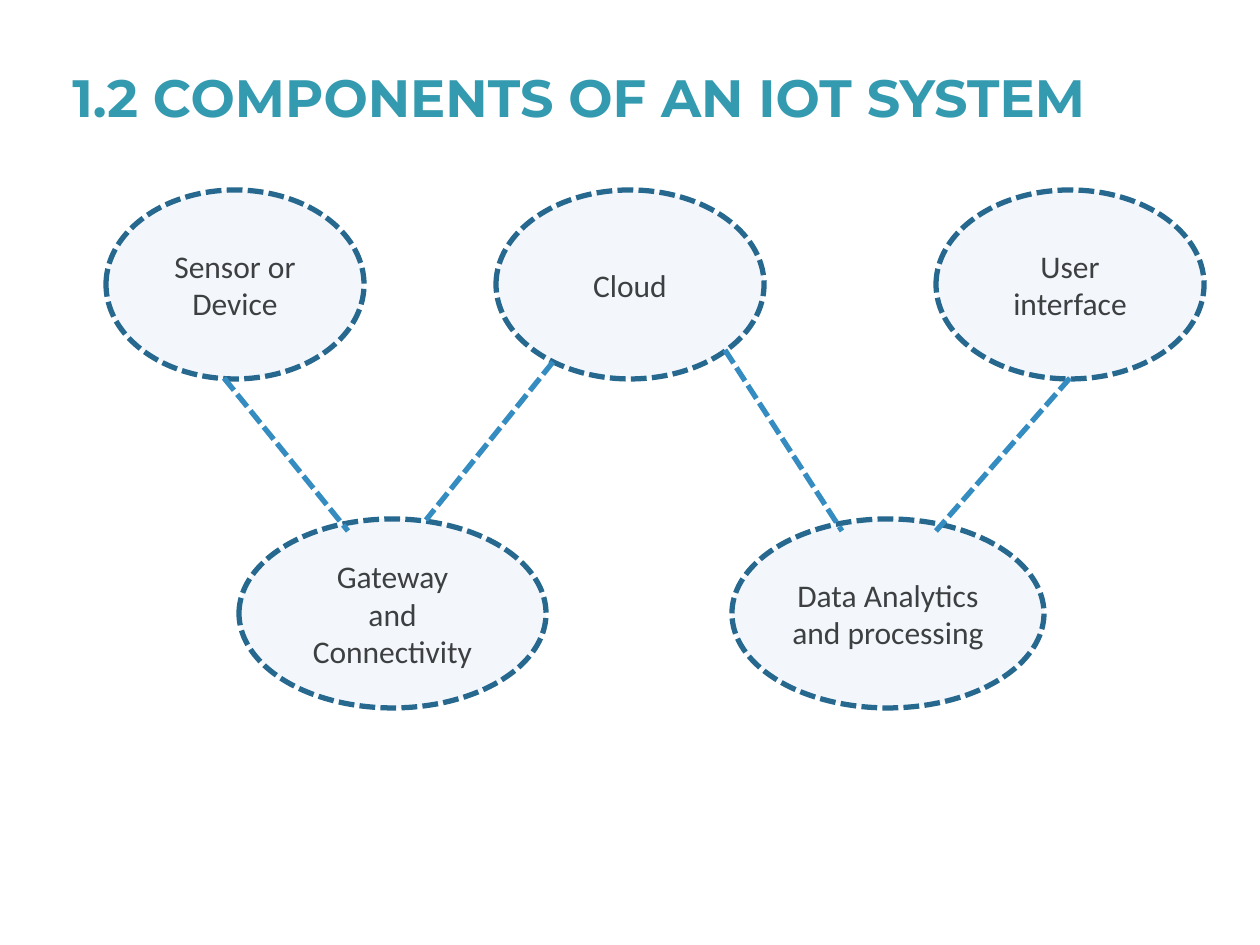
"""Build the slide showing the components of an IoT system."""
from lxml import etree
from pptx import Presentation
from pptx import util as u
from pptx.dml.color import RGBColor
from pptx.enum import dml, shapes, text
from pptx.oxml.ns import qn

SCALE = 914400 / 126
TITLE = "1.2 COMPONENTS OF AN IOT SYSTEM"
TITLE_BOX = (60, 38, 1140, 97)
TITLE_FONT = {"name": "Montserrat", "size": u.Pt(30), "bold": True}
NODE_FONT = {"name": "Calibri", "size": u.Pt(18)}
FRAME = {"word_wrap": True, "vertical_anchor": text.MSO_ANCHOR.MIDDLE}
NODE_HEIGHT = 189
ROWS = [
    (190, [
        (106, 258, ["Sensor or Device"]),
        (496, 268, ["Cloud"]),
        (936, 268, ["User interface"]),
    ]),
    (519, [
        (239, 307, ["Gateway", "and", "Connectivity"]),
        (732, 312, ["Data Analytics and processing"]),
    ]),
]
LINKS = [
    (224, 378, 348, 531),
    (1070, 378, 936, 531),
    (553, 362, 426, 520),
    (725, 350, 842, 531),
]


def px(*values):
    return [u.Emu(round(v * SCALE)) for v in values]


def rgb(value):
    return RGBColor.from_string(value)


def apply(obj, values):
    for name, value in values.items():
        setattr(obj, name, value)


def dash(line, color):
    line.color.rgb = rgb(color)
    apply(line, {"width": u.Pt(3), "dash_style": dml.MSO_LINE.SQUARE_DOT})


def write(p, words, font, color):
    r = p.add_run()
    r.text = words
    apply(r.font, font)
    r.font.color.rgb = rgb(color)


def add_node(s, x, y, w, lines):
    sp = s.shapes.add_shape(shapes.MSO_SHAPE.OVAL, *px(x, y, w, NODE_HEIGHT))
    sp.shadow.inherit = False
    sp.fill.solid()
    sp.fill.fore_color.rgb = rgb("F3F7FC")
    dash(sp.line, "27688F")
    tf = sp.text_frame
    apply(tf, FRAME)
    for i, words in enumerate(lines):
        p = tf.add_paragraph() if i else tf.paragraphs[0]
        p.alignment = text.PP_ALIGN.CENTER
        write(p, words, NODE_FONT, "3D3F41")


def add_link(s, ends):
    link = s.shapes.add_connector(shapes.MSO_CONNECTOR.STRAIGHT, *px(*ends))
    dash(link.line, "358CC1")
    etree.SubElement(link._element.spPr, qn("a:effectLst"))


def add_title(s):
    tf = s.shapes.add_textbox(*px(*TITLE_BOX)).text_frame
    apply(tf, {"word_wrap": True, "vertical_anchor": text.MSO_ANCHOR.BOTTOM})
    p = tf.paragraphs[0]
    p.line_spacing = 0.9
    write(p, TITLE, TITLE_FONT, "339AAF")


def main():
    prs = Presentation()
    prs.slide_width, prs.slide_height = px(1260, 945)
    s = prs.slides.add_slide(prs.slide_layouts[6])
    for y, nodes in ROWS:
        for x, w, lines in nodes:
            add_node(s, x, y, w, lines)
    for ends in LINKS:
        add_link(s, ends)
    add_title(s)
    prs.save("out.pptx")


if __name__ == "__main__":
    main()
